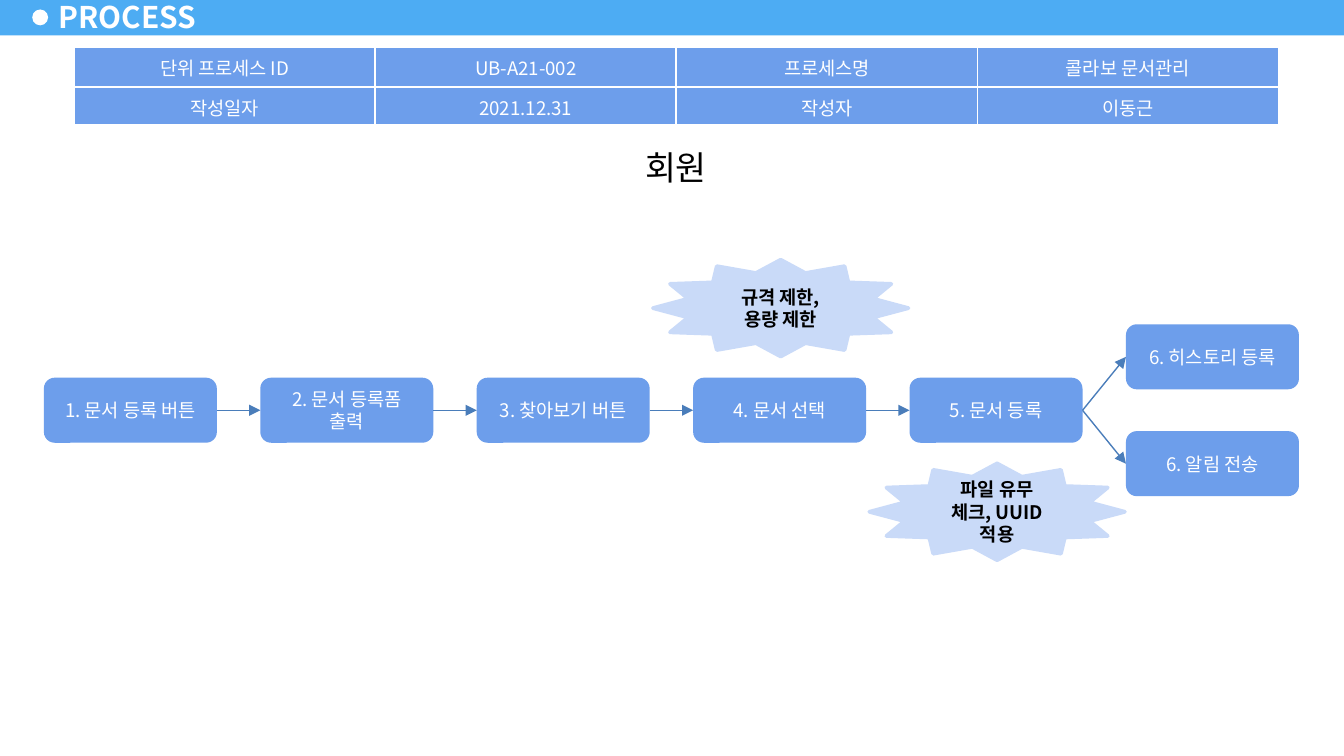
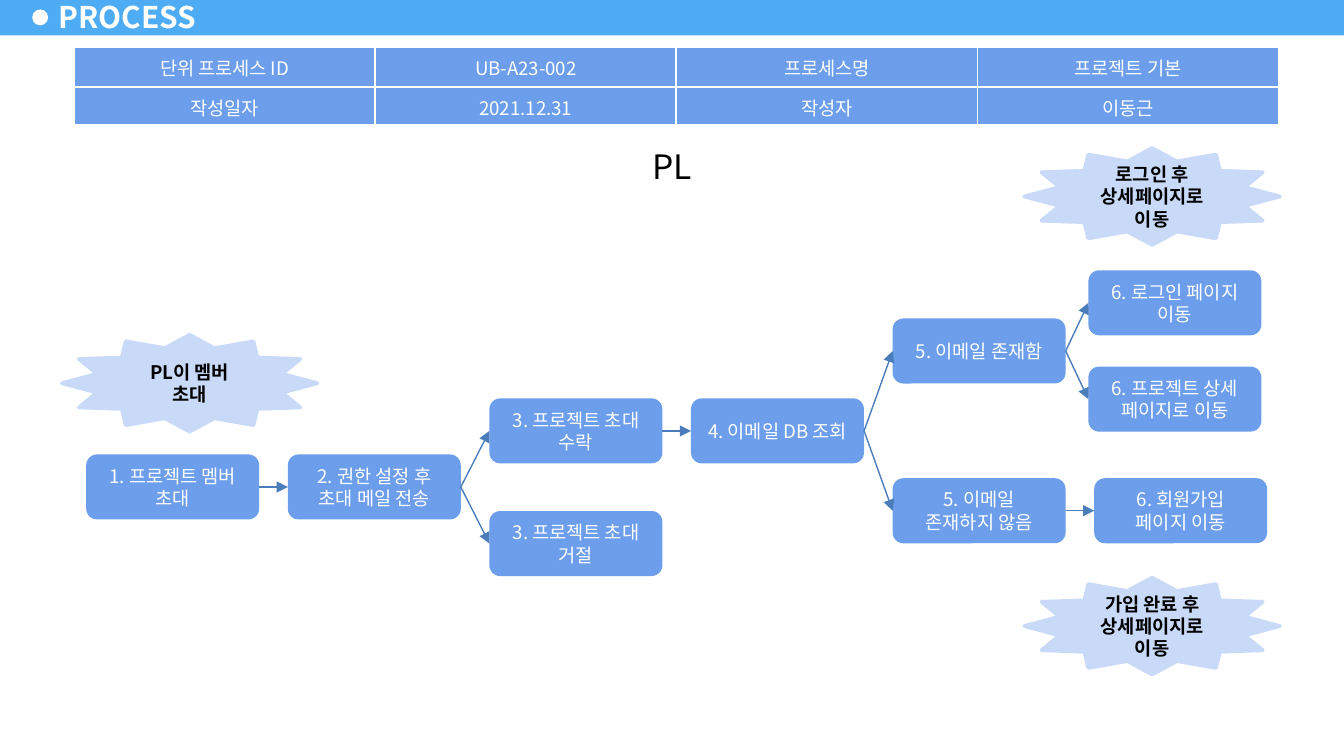
"""Builds two process-flow slides."""
from dataclasses import dataclass
from typing import NamedTuple

from lxml.etree import SubElement
from pptx import Presentation
from pptx.dml.color import RGBColor
from pptx.enum.shapes import MSO_CONNECTOR, MSO_SHAPE
from pptx.enum.text import MSO_ANCHOR, MSO_AUTO_SIZE, PP_ALIGN
from pptx.oxml import parse_xml
from pptx.oxml.ns import nsdecls, qn
from pptx.util import Cm, Pt

FONT = "Noto Sans CJK KR"
BAND, BOX, STAR, LINE = "4DACF3", "6D9EEB", "C9DAF8", "4A7DBA"
WHITE, BLACK = "FFFFFF", "000000"
BOX_W, BOX_H = 3.27, 1.23
STAR_W, STAR_H = 4.83, 1.83
COL_W, ROW_HEIGHTS = 5.69, (0.74, 0.71)


class Item(NamedTuple):
    """A labelled shape with its left and top in centimetres."""
    text: str
    x: float
    y: float


class Heading(NamedTuple):
    """The actor above a flow."""
    text: str
    x: float
    y: float
    w: float


@dataclass
class Process:
    """One process slide; links hold pairs of step indices."""
    code: str
    name: str
    heading: Heading
    steps: list[Item]
    links: list[tuple[int, int]]
    notes: list[Item]


def rgb(color: str) -> RGBColor:
    """Turn a hex string into a colour."""
    return RGBColor.from_string(color)


def write(tf, text: str, size: float, color: str, bold: bool = False,
          align=PP_ALIGN.CENTER, anchor=MSO_ANCHOR.MIDDLE) -> None:
    """Fill a text frame with one formatted run."""
    tf.word_wrap = True
    tf.vertical_anchor = anchor
    tf.margin_left = tf.margin_right = Cm(0.25)
    tf.margin_top = tf.margin_bottom = Cm(0.13)
    p = tf.paragraphs[0]
    p.alignment = align
    r = p.add_run()
    r.text = text
    r.font.size, r.font.bold = Pt(size), bold
    r.font.color.rgb = rgb(color)
    r.font.name = FONT
    SubElement(r.font._element, qn("a:ea")).set("typeface", FONT)


def shape(s, kind, x: float, y: float, w: float, h: float, fill: str):
    """Draw a plain filled shape."""
    sp = s.shapes.add_shape(kind, Cm(x), Cm(y), Cm(w), Cm(h))
    sp.shadow.inherit = False
    sp.fill.solid()
    sp.fill.fore_color.rgb = rgb(fill)
    sp.line.fill.background()
    return sp


def title_band(s) -> None:
    """Draw the band, dot and title that every slide has."""
    shape(s, MSO_SHAPE.RECTANGLE, 0, -0.05, 25.4, 0.72, BAND)
    shape(s, MSO_SHAPE.OVAL, 0.61, 0.18, 0.3, 0.3, WHITE)
    tf = s.shapes.add_textbox(Cm(0.88), Cm(-0.1), Cm(3.1), Cm(0.81)).text_frame
    write(tf, "PROCESS", 16, WHITE, True, PP_ALIGN.LEFT)
    tf.margin_left = tf.margin_right = Cm(0.23)


def info_table(s, process: Process) -> None:
    """Draw the table that identifies the process."""
    rows = [("단위 프로세스 ID", process.code, "프로세스명", process.name),
            ("작성일자", "2021.12.31", "작성자", "이동근")]
    table = s.shapes.add_table(2, 4, Cm(1.4), Cm(0.9), Cm(4 * COL_W),
                               Cm(sum(ROW_HEIGHTS))).table
    table.first_row = table.horz_banding = False
    for column in table.columns:
        column.width = Cm(COL_W)
    for row, height, texts in zip(table.rows, ROW_HEIGHTS, rows):
        row.height = Cm(height)
        for cell, text in zip(row.cells, texts):
            table_cell(cell, text)


def table_cell(cell, text: str) -> None:
    """Fill one cell and give it white borders."""
    cell.fill.solid()
    cell.fill.fore_color.rgb = rgb(BOX)
    cell.vertical_anchor = MSO_ANCHOR.MIDDLE
    write(cell.text_frame, text, 10, WHITE)
    cell.margin_left = cell.margin_right = Cm(0.25)
    cell.margin_top = cell.margin_bottom = Cm(0.13)
    body = cell.text_frame._txBody.find(qn("a:bodyPr"))
    body.attrib.clear()
    for i, side in enumerate("LRTB"):
        cell._tc.tcPr.insert(i, parse_xml(
            f'<a:ln{side} {nsdecls("a")} w="12700"><a:solidFill>'
            f'<a:srgbClr val="{WHITE}"/></a:solidFill></a:ln{side}>'))


def heading_box(s, heading: Heading) -> None:
    """Draw the actor heading."""
    sp = shape(s, MSO_SHAPE.RECTANGLE, heading.x, heading.y, heading.w, 1.04, WHITE)
    write(sp.text_frame, heading.text, 18, BLACK, anchor=MSO_ANCHOR.TOP)
    sp.text_frame.auto_size = MSO_AUTO_SIZE.SHAPE_TO_FIT_TEXT


def step_box(s, step: Item):
    """Draw one step of the flow."""
    sp = shape(s, MSO_SHAPE.ROUNDED_RECTANGLE, step.x, step.y, BOX_W, BOX_H, BOX)
    write(sp.text_frame, step.text, 10, WHITE)
    return sp


def note_star(s, note: Item) -> None:
    """Draw a star with a remark."""
    sp = shape(s, MSO_SHAPE.STAR_12_POINT, note.x, note.y, STAR_W, STAR_H, STAR)
    sp.line.color.rgb = rgb(STAR)
    sp.line.width = Pt(2)
    write(sp.text_frame, note.text, 10, BLACK, True)


def arrow(s, start, end) -> None:
    """Join the right side of one step to the left side of another."""
    cx = s.shapes.add_connector(MSO_CONNECTOR.STRAIGHT, Cm(0), Cm(0), Cm(0), Cm(0))
    cx.begin_connect(start, 3)
    cx.end_connect(end, 1)
    cx.line.color.rgb = rgb(LINE)
    cx.line.width = Pt(0.75)
    SubElement(cx.line._get_or_add_ln(), qn("a:tailEnd")).set("type", "triangle")
    SubElement(cx._element.spPr, qn("a:effectLst"))


def process_slide(prs, process: Process) -> None:
    """Add a slide for one process."""
    s = prs.slides.add_slide(prs.slide_layouts[6])
    title_band(s)
    info_table(s, process)
    heading_box(s, process.heading)
    boxes = [step_box(s, step) for step in process.steps]
    for start, end in process.links:
        arrow(s, boxes[start], boxes[end])
    for note in process.notes:
        note_star(s, note)


def document_process() -> Process:
    """Describe the document registration flow."""
    left, pitch, top, offset = 0.83, 4.09, 7.14, 1.01
    texts = ["1. 문서 등록 버튼", "2. 문서 등록폼 출력", "3. 찾아보기 버튼",
             "4. 문서 선택", "5. 문서 등록"]
    steps = [Item(text, left + i * pitch, top) for i, text in enumerate(texts)]
    last = left + len(texts) * pitch
    steps += [Item("6. 히스토리 등록", last, top - offset),
              Item("6. 알림 전송", last, top + offset)]
    return Process(
        "UB-A21-002", "콜라보 문서관리", Heading("회원", 8.23, 2.64, 9.09), steps,
        [(0, 1), (1, 2), (2, 3), (3, 4), (4, 5), (4, 6)],
        [Item("규격 제한, 용량 제한", 12.34, 4.91),
         Item("파일 유무 체크, UUID 적용", 16.43, 8.76)])


def project_process() -> Process:
    """Describe the project invitation flow."""
    cols = [1.63 + i * 3.81 for i in range(6)]
    steps = [Item("1. 프로젝트 멤버 초대", cols[0], 8.59),
             Item("2. 권한 설정 후 초대 메일 전송", cols[1], 8.59),
             Item("3. 프로젝트 초대 수락", cols[2], 7.53),
             Item("3. 프로젝트 초대 거절", cols[2], 9.66),
             Item("4. 이메일 DB 조회", cols[3], 7.53),
             Item("5. 이메일 존재함", cols[4], 6.02),
             Item("5. 이메일 존재하지 않음", cols[4], 9.04),
             Item("6. 로그인 페이지 이동", 20.57, 5.11),
             Item("6. 프로젝트 상세 페이지로 이동", 20.57, 6.93),
             Item("6. 회원가입 페이지 이동", cols[5], 9.04)]
    return Process(
        "UB-A23-002", "프로젝트 기본", Heading("PL", 10.08, 2.62, 5.26), steps,
        [(0, 1), (1, 2), (1, 3), (2, 4), (4, 5), (4, 6), (5, 7), (5, 8), (6, 9)],
        [Item("PL이 멤버 초대", 1.17, 6.33),
         Item("가입 완료 후 상세페이지로 이동", 19.36, 10.92),
         Item("로그인 후 상세페이지로 이동", 19.36, 2.8)])


def main() -> None:
    """Build and save the presentation."""
    prs = Presentation()
    prs.slide_width, prs.slide_height = Cm(25.4), Cm(14.29)
    for process in (document_process(), project_process()):
        process_slide(prs, process)
    prs.save("out.pptx")


if __name__ == "__main__":
    main()
